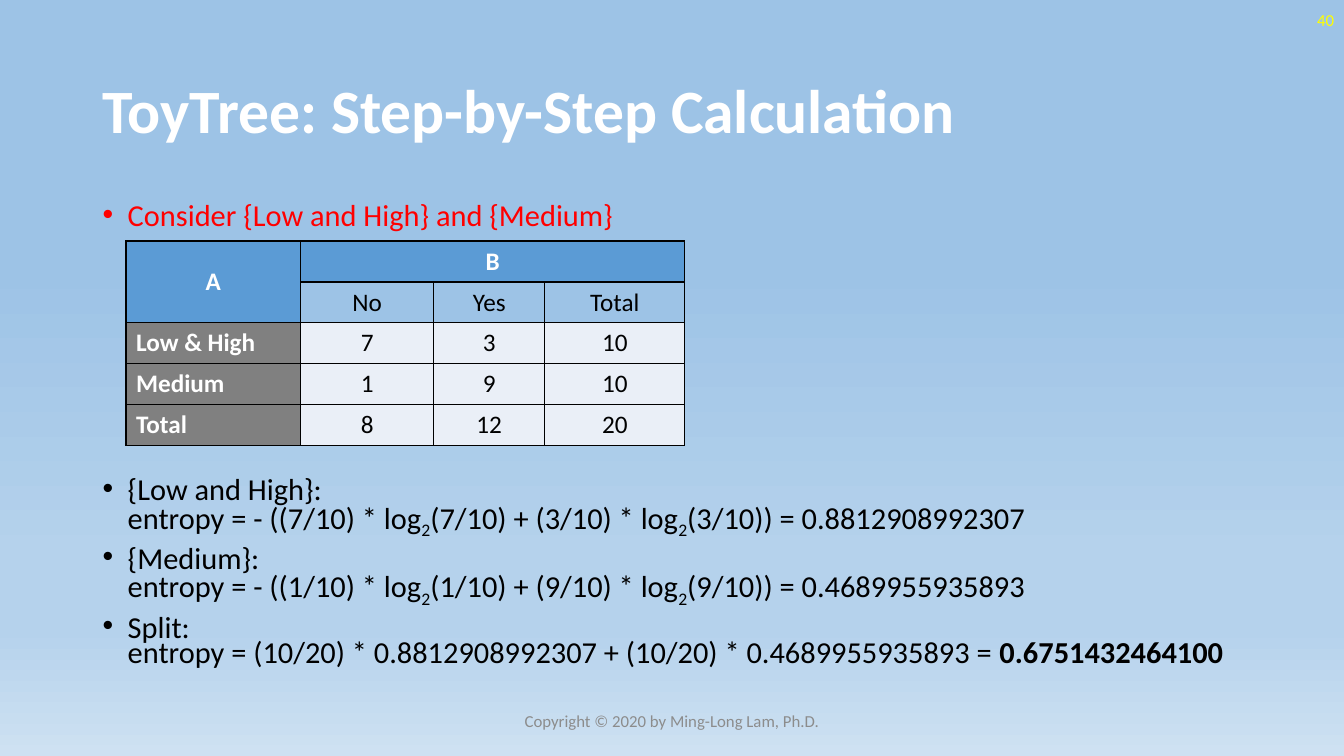
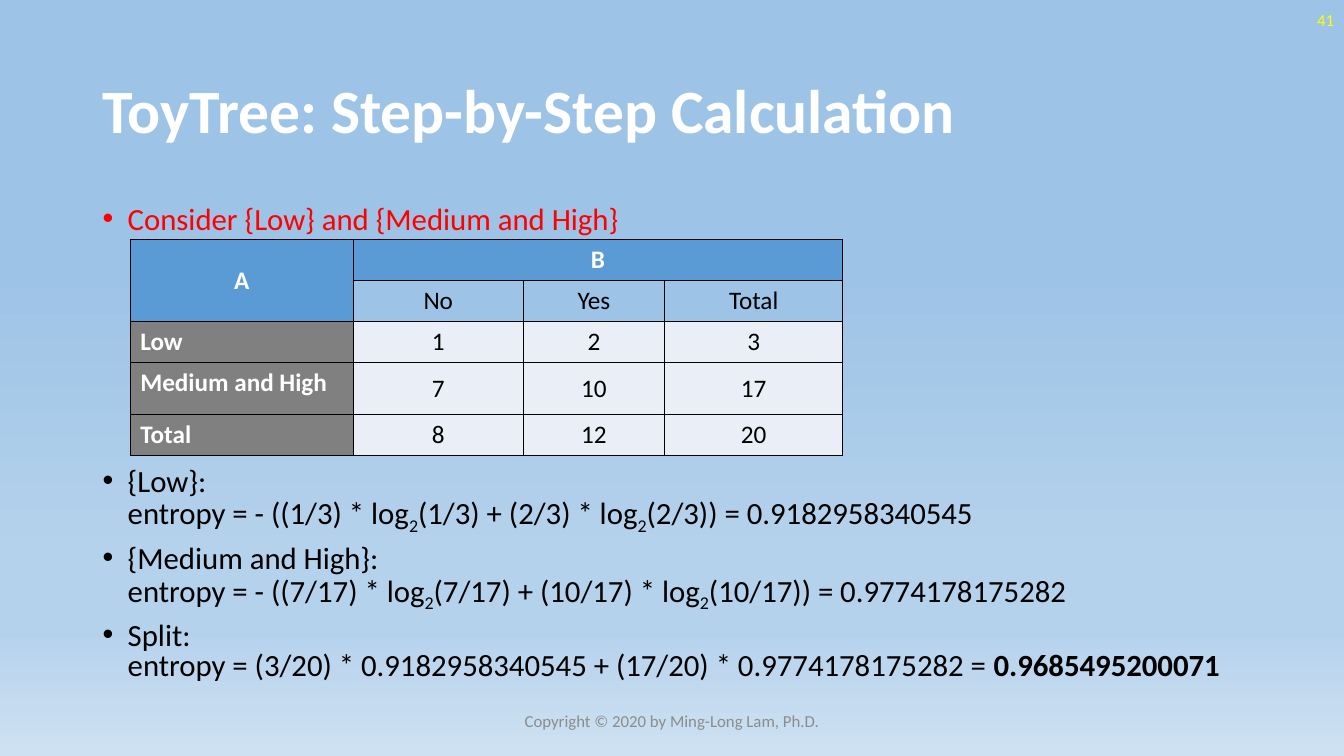
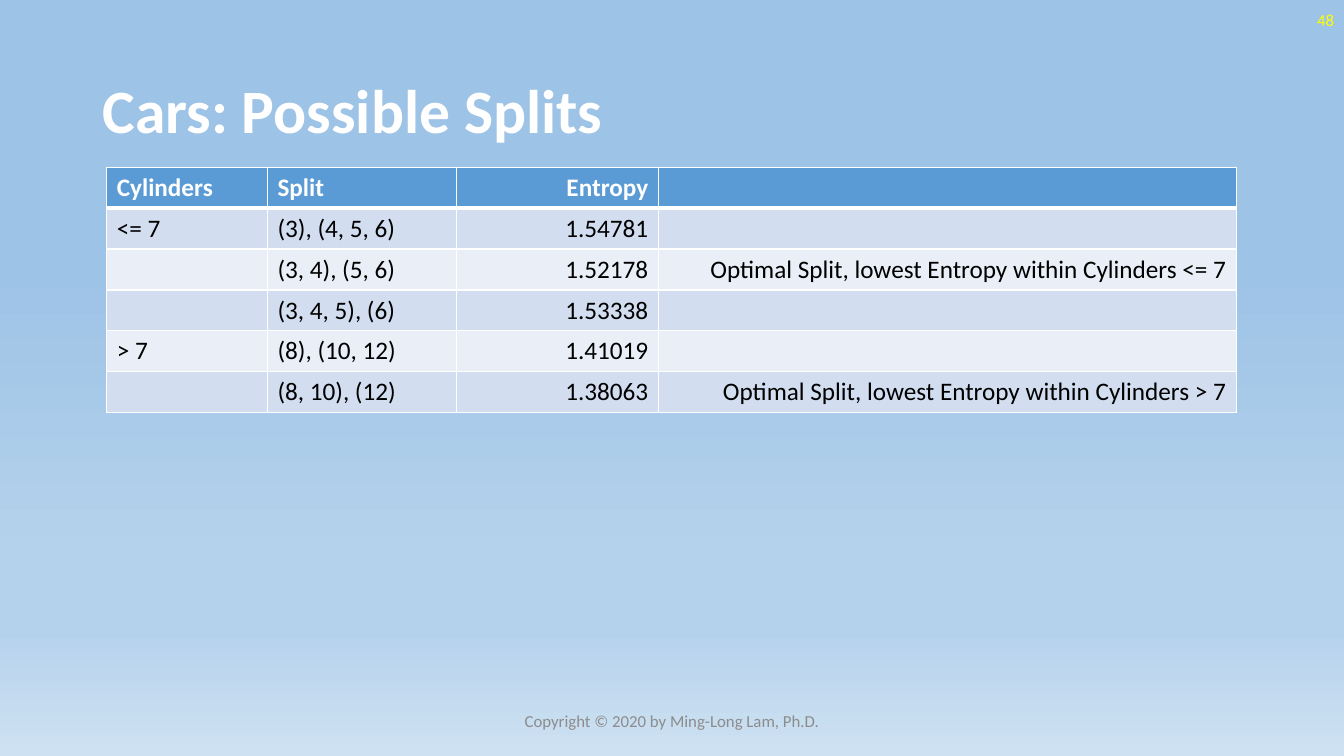
"""Build three slides on decision tree splits and their entropy."""
from dataclasses import dataclass
from typing import NamedTuple

from lxml import etree
from pptx import Presentation
from pptx import util as u
from pptx.dml.color import RGBColor
from pptx.enum import text as t
from pptx.oxml import ns


@dataclass(frozen=True)
class Theme:
    font: str = "Calibri"
    white: str = "FFFFFF"
    black: str = "000000"
    focus: str = "FF0000"
    footer: str = "8C8C8C"
    number: str = "FFFF00"
    header: str = "5B9BD5"
    subheader: str = "9DC3E6"
    label: str = "808080"
    light: str = "EAEFF7"
    band: str = "D2DEEF"
    gradient: tuple = ((35, "9DC3E6"), (74, "B5D2EC"), (83, "B5D2EC"), (100, "CEE1F2"))
    title_size: float = 44
    body_size: float = 22
    tight_body_size: float = 21.7
    cell_size: float = 18
    small_size: float = 12


THEME = Theme()
ROW_HEIGHT = 29.2
BODY_LEFT, BODY_TOP, BODY_WIDTH, BODY_BOTTOM = 66.2, 144, 828, 486.7
COPYRIGHT = "Copyright © 2020 by Ming-Long Lam, Ph.D."


class Box(NamedTuple):
    left: float
    top: float
    width: float
    height: float


class Piece(NamedTuple):
    text: str
    subscript: bool = False
    bold: bool = False


class CellStyle(NamedTuple):
    fill: str
    color: str = THEME.black
    bold: bool = False
    align: t.PP_ALIGN = t.PP_ALIGN.LEFT
    anchor: t.MSO_ANCHOR = t.MSO_ANCHOR.MIDDLE


class Edges(NamedTuple):
    color: str
    top: float = 1
    bottom: float = 1


@dataclass(frozen=True)
class Branch:
    name: str
    label: str
    no: int
    yes: int
    entropy: str

    @property
    def total(self) -> int:
        return self.no + self.yes

    def pieces(self) -> list[Piece]:
        no, yes = f"{self.no}/{self.total}", f"{self.yes}/{self.total}"
        return [
            Piece(f"entropy = - (({no}) * log"),
            Piece("2", subscript=True),
            Piece(f"({no}) + ({yes}) * log"),
            Piece("2", subscript=True),
            Piece(f"({yes})) = {self.entropy}"),
        ]


@dataclass(frozen=True)
class ToySplit:
    number: int
    branches: tuple[Branch, Branch]
    entropy: str
    table_left: float
    table_top: float
    columns: tuple
    heights: tuple
    formulas_top: float
    size: float
    spacing: float


TOY_SPLITS = (
    ToySplit(
        40,
        (Branch("{Low and High}", "Low & High", 7, 3, "0.8812908992307"),
         Branch("{Medium}", "Medium", 1, 9, "0.4689955935893")),
        "0.6751432464100", 90, 172.2, (124.8, 95, 79.4, 100), (ROW_HEIGHT,) * 5,
        339.7, THEME.tight_body_size, 0.7,
    ),
    ToySplit(
        41,
        (Branch("{Low}", "Low", 1, 2, "0.9182958340545"),
         Branch("{Medium and High}", "Medium and High", 7, 10, "0.9774178175282")),
        "0.9685495200071", 93, 171.2, (159.3, 121.6, 100.8, 127.4),
        (ROW_HEIGHT,) * 3 + (37.4, ROW_HEIGHT),
        331.1, THEME.body_size, 0.8,
    ),
)

CAR_ROWS = (
    ("Cylinders", "Split", "Entropy", ""),
    ("<= 7", "(3), (4, 5, 6)", "1.54781", ""),
    ("", "(3, 4), (5, 6)", "1.52178", "Optimal Split, lowest Entropy within Cylinders <= 7"),
    ("", "(3, 4, 5), (6)", "1.53338", ""),
    ("> 7", "(8), (10, 12)", "1.41019", ""),
    ("", "(8, 10), (12)", "1.38063", "Optimal Split, lowest Entropy within Cylinders > 7"),
)


def format_font(font, size: float, color: str, bold: bool = False) -> None:
    font.name = THEME.font
    font.size = u.Pt(size)
    font.bold = bold
    font.color.rgb = RGBColor.from_string(color)


def add_frame(slide, box: Box, anchor=t.MSO_ANCHOR.TOP):
    frame = slide.shapes.add_textbox(*map(u.Pt, box)).text_frame
    frame.word_wrap = True
    frame.vertical_anchor = anchor
    return frame


def add_line(slide, box: Box, content: str, size: float, color: str,
             align=t.PP_ALIGN.LEFT, bold: bool = False):
    frame = add_frame(slide, box, t.MSO_ANCHOR.MIDDLE)
    frame.text = content
    line = frame.paragraphs[0]
    line.alignment = align
    format_font(line.runs[0].font, size, color, bold)
    return line


def add_base(prs, title: str, number: int):
    slide = prs.slides.add_slide(prs.slide_layouts[6])
    fill = slide.background.fill
    fill.gradient()
    fill.gradient_angle = 270
    stops = slide.element.find(".//" + ns.qn("a:gsLst"))
    for stop in list(stops):
        stops.remove(stop)
    for position, color in THEME.gradient:
        stop = etree.SubElement(stops, ns.qn("a:gs"), pos=str(position * 1000))
        etree.SubElement(stop, ns.qn("a:srgbClr"), val=color)
    heading = add_line(slide, Box(BODY_LEFT, 28.8, BODY_WIDTH, 104.4), title,
                       THEME.title_size, THEME.white, bold=True)
    heading.line_spacing = 0.9
    add_line(slide, Box(318, 500.4, 324, 28.8), COPYRIGHT,
             THEME.small_size, THEME.footer, t.PP_ALIGN.CENTER)
    add_line(slide, Box(744, 0, 216, 28.8), str(number),
             THEME.small_size, THEME.number, t.PP_ALIGN.RIGHT)
    return slide


def set_bullet(paragraph, spacing: float) -> None:
    properties = paragraph._p.get_or_add_pPr()
    properties.set("marL", str(u.Pt(18)))
    properties.set("indent", str(u.Pt(-18)))
    etree.SubElement(properties, ns.qn("a:buFont"), typeface="Arial")
    etree.SubElement(properties, ns.qn("a:buChar"), char="•")
    paragraph.line_spacing = spacing


def add_formulas(slide, split: ToySplit) -> None:
    first, second = split.branches
    whole = first.total + second.total
    weighted = " + ".join(f"({b.total}/{whole}) * {b.entropy}" for b in split.branches)
    items = [(b.name, b.pieces()) for b in split.branches]
    items.append(("Split", [Piece(f"entropy = {weighted} = "), Piece(split.entropy, bold=True)]))
    top = split.formulas_top
    frame = add_frame(slide, Box(BODY_LEFT, top, BODY_WIDTH, BODY_BOTTOM - top))
    for index, (name, pieces) in enumerate(items):
        paragraph = frame.add_paragraph() if index else frame.paragraphs[0]
        paragraph.text = f"{name}:"
        set_bullet(paragraph, split.spacing)
        if index:
            paragraph.space_before = u.Pt(10)
        format_font(paragraph.runs[0].font, split.size, THEME.black)
        paragraph.add_line_break()
        for piece in pieces:
            run = paragraph.add_run()
            run.text = piece.text
            format_font(run.font, split.size, THEME.black, piece.bold)
            if piece.subscript:
                run._r.get_or_add_rPr().set("baseline", "-25000")


def draw_cell(cell, content: str, style: CellStyle, edges: Edges) -> None:
    properties = cell._tc.get_or_add_tcPr()
    for side, width in (("L", 1), ("R", 1), ("T", edges.top), ("B", edges.bottom)):
        line = etree.SubElement(properties, ns.qn(f"a:ln{side}"), w=str(u.Pt(width)))
        paint = etree.SubElement(line, ns.qn("a:solidFill"))
        etree.SubElement(paint, ns.qn("a:srgbClr"), val=edges.color)
    cell.fill.solid()
    cell.fill.fore_color.rgb = RGBColor.from_string(style.fill)
    cell.vertical_anchor = style.anchor
    cell.text = content
    paragraph = cell.text_frame.paragraphs[0]
    paragraph.alignment = style.align
    for run in paragraph.runs:
        format_font(run.font, THEME.cell_size, style.color, style.bold)


def add_grid(slide, left: float, top: float, columns: tuple, heights: tuple):
    box = Box(left, top, sum(columns), sum(heights))
    table = slide.shapes.add_table(len(heights), len(columns), *map(u.Pt, box)).table
    table.first_row = table.horz_banding = False
    for column, width in zip(table.columns, columns):
        column.width = u.Pt(width)
    for row, height in zip(table.rows, heights):
        row.height = u.Pt(height)
    return table


def toy_style(row: int, column: int) -> CellStyle:
    center = t.PP_ALIGN.CENTER
    if row == 0 or (row == 1 and column == 0):
        return CellStyle(THEME.header, THEME.white, True, center)
    if row == 1:
        return CellStyle(THEME.subheader, align=center)
    if column == 0:
        return CellStyle(THEME.label, THEME.white, True, anchor=t.MSO_ANCHOR.TOP)
    return CellStyle(THEME.light, align=center)


def add_toy_slide(prs, split: ToySplit) -> None:
    slide = add_base(prs, "ToyTree: Step-by-Step Calculation", split.number)
    frame = add_frame(slide, Box(BODY_LEFT, BODY_TOP, BODY_WIDTH, 28))
    first, second = split.branches
    frame.text = f"Consider {first.name} and {second.name}"
    premise = frame.paragraphs[0]
    set_bullet(premise, split.spacing)
    format_font(premise.runs[0].font, split.size, THEME.focus)
    add_formulas(slide, split)

    counts = [(b.label, b.no, b.yes, b.total) for b in split.branches]
    totals = ("Total", first.no + second.no, first.yes + second.yes, first.total + second.total)
    rows = [("A", "B", "", ""), ("", "No", "Yes", "Total"), *counts, totals]
    table = add_grid(slide, split.table_left, split.table_top, split.columns, split.heights)
    for r, row in enumerate(rows):
        for c, value in enumerate(row):
            draw_cell(table.cell(r, c), str(value), toy_style(r, c), Edges(THEME.black))
    table.cell(0, 0).merge(table.cell(1, 0))
    table.cell(0, 1).merge(table.cell(0, 3))


def add_cars_slide(prs) -> None:
    slide = add_base(prs, "Cars: Possible Splits", 48)
    table = add_grid(slide, 76.3, 119.5, (114.8, 135.2, 144, 413), (ROW_HEIGHT,) * len(CAR_ROWS))
    for r, row in enumerate(CAR_ROWS):
        edges = Edges(THEME.white, 3 if r == 1 else 1, 3 if r == 0 else 1)
        for c, value in enumerate(row):
            align = t.PP_ALIGN.RIGHT if c > 1 else t.PP_ALIGN.LEFT
            if r == 0:
                style = CellStyle(THEME.header, THEME.white, True, align)
            else:
                style = CellStyle(THEME.band if r % 2 else THEME.light, align=align)
            draw_cell(table.cell(r, c), value, style, edges)


def main() -> None:
    prs = Presentation()
    prs.slide_width, prs.slide_height = u.Pt(960), u.Pt(540)
    for split in TOY_SPLITS:
        add_toy_slide(prs, split)
    add_cars_slide(prs)
    prs.save("out.pptx")


if __name__ == "__main__":
    main()
